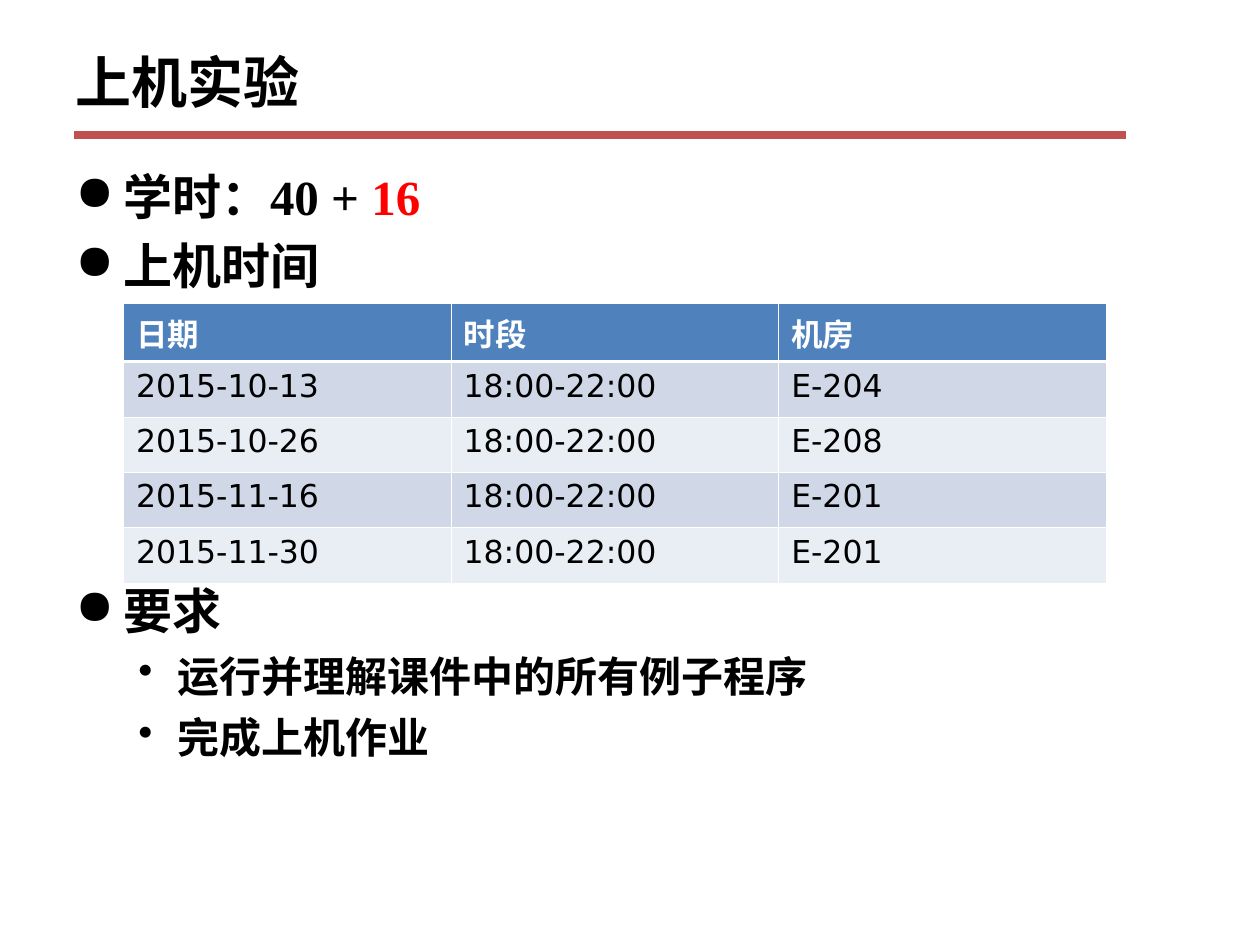
from lxml import etree
from pptx import Presentation
from pptx.dml.color import RGBColor
from pptx.enum.shapes import MSO_CONNECTOR
from pptx.enum.text import MSO_ANCHOR, PP_ALIGN
from pptx.oxml.ns import qn
from pptx.util import Inches, Pt

STRAIGHT = MSO_CONNECTOR.STRAIGHT
MIDDLE = MSO_ANCHOR.MIDDLE
LEFT = PP_ALIGN.LEFT

COLORS = {"text": "000000", "accent": "FF0000", "rule": "C0504D", "white": "FFFFFF",
          "header": "4F81BD", "odd": "D0D8E8", "even": "E9EDF4"}
CJK_FONT = "Noto Sans CJK SC"
BODY_FONT = "Times New Roman"
TABLE_FONT = "DejaVu Sans"

TITLE = "上机实验"
# Level, space before, and the (text, colour) parts of each bullet
BULLETS = [
    (0, 0, [("学时：40 + ", "text"), ("16", "accent")]),
    (0, 6, [("上机时间", "text")]),
    (0, 164, [("要求", "text")]),  # leaves room for the table
    (1, 6, [("运行并理解课件中的所有例子程序", "text")]),
    (1, 6, [("完成上机作业", "text")]),
]
# Bullet, text size, line height, left margin, hanging indent
LEVELS = [("●", 28, 33.5, 0.38, 0.38), ("•", 24, 29, 0.81, 0.31)]
SCHEDULE = [
    ("日期", "时段", "机房"),
    ("2015-10-13", "18:00-22:00", "E-204"),
    ("2015-10-26", "18:00-22:00", "E-208"),
    ("2015-11-16", "18:00-22:00", "E-201"),
    ("2015-11-30", "18:00-22:00", "E-201"),
]
COLUMN_WIDTH, HEADER_HEIGHT, ROW_HEIGHT = 2.6, 0.46, 0.44
THIN, THICK = 0.45, 1.47


def rgb(name):
    return RGBColor.from_string(COLORS[name])


def format_span(span, size, font, color, bold):
    span.font.size = Pt(size)
    span.font.name = font
    span.font.bold = bold
    span.font.color.rgb = rgb(color)
    east_asian = etree.Element(qn("a:ea"), typeface=CJK_FONT)
    span.font._element.find(qn("a:latin")).addnext(east_asian)


def add_bullet(para, mark, margin, hanging):
    props = para._p.get_or_add_pPr()
    props.set("marL", str(Inches(margin)))
    props.set("indent", str(-Inches(hanging)))
    color = etree.SubElement(props, qn("a:buClr"))
    etree.SubElement(color, qn("a:srgbClr"), val=COLORS["text"])
    etree.SubElement(props, qn("a:buChar"), char=mark)


def add_border(cell, side, width):
    props = cell._tc.get_or_add_tcPr()
    line = etree.SubElement(props, qn(f"a:ln{side}"), w=str(Pt(width)))
    fill = etree.SubElement(line, qn("a:solidFill"))
    etree.SubElement(fill, qn("a:srgbClr"), val=COLORS["white"])


def add_title(page):
    title = page.shapes.title
    title.left, title.top = Inches(0.5), Inches(0.21)
    title.width, title.height = Inches(9), Inches(0.87)
    frame = title.text_frame
    frame.text = TITLE
    frame.vertical_anchor = MIDDLE
    frame.paragraphs[0].alignment = LEFT
    format_span(frame.paragraphs[0].runs[0], 32, CJK_FONT, "text", True)


def add_rule(page):
    rule = page.shapes.add_connector(
        STRAIGHT, Inches(0.59), Inches(1.07), Inches(8.94), Inches(1.07))
    rule.line.color.rgb = rgb("rule")
    rule.line.width = Pt(4.5)
    etree.SubElement(rule._element.spPr, qn("a:effectLst"))


def add_body(page):
    box = page.shapes.add_textbox(Inches(0.5), Inches(1.23), Inches(9), Inches(5.83))
    frame = box.text_frame
    frame.word_wrap = True
    frame.margin_top = Inches(0.09)
    for index, (level, before, parts) in enumerate(BULLETS):
        para = frame.add_paragraph() if index else frame.paragraphs[0]
        mark, size, line_height, margin, hanging = LEVELS[level]
        para.level = level
        para.line_spacing = Pt(line_height)
        para.space_before = Pt(before)
        add_bullet(para, mark, margin, hanging)
        for text, color in parts:
            span = para.add_run()
            span.text = text
            format_span(span, size, BODY_FONT, color, True)


def add_schedule(page):
    rows, columns = len(SCHEDULE), len(SCHEDULE[0])
    height = HEADER_HEIGHT + (rows - 1) * ROW_HEIGHT
    table = page.shapes.add_table(
        rows, columns, Inches(0.98), Inches(2.41),
        Inches(columns * COLUMN_WIDTH), Inches(height)).table
    for column in table.columns:
        column.width = Inches(COLUMN_WIDTH)
    for r, values in enumerate(SCHEDULE):
        header = r == 0
        table.rows[r].height = Inches(HEADER_HEIGHT if header else ROW_HEIGHT)
        fill = "header" if header else ("odd" if r % 2 else "even")
        borders = {"L": THIN, "R": THIN,
                   "T": THICK if r == 1 else THIN, "B": THICK if header else THIN}
        for c, value in enumerate(values):
            cell = table.cell(r, c)
            cell.text = value
            format_span(cell.text_frame.paragraphs[0].runs[0], 18, TABLE_FONT,
                        "white" if header else "text", header)
            for side, width in borders.items():
                add_border(cell, side, width)
            cell.fill.solid()
            cell.fill.fore_color.rgb = rgb(fill)


def main():
    deck = Presentation()
    deck.slide_width, deck.slide_height = Inches(10), Inches(7.5)
    page = deck.slides.add_slide(deck.slide_layouts[5])
    add_rule(page)
    add_title(page)
    add_body(page)
    add_schedule(page)
    deck.save("out.pptx")


if __name__ == "__main__":
    main()
